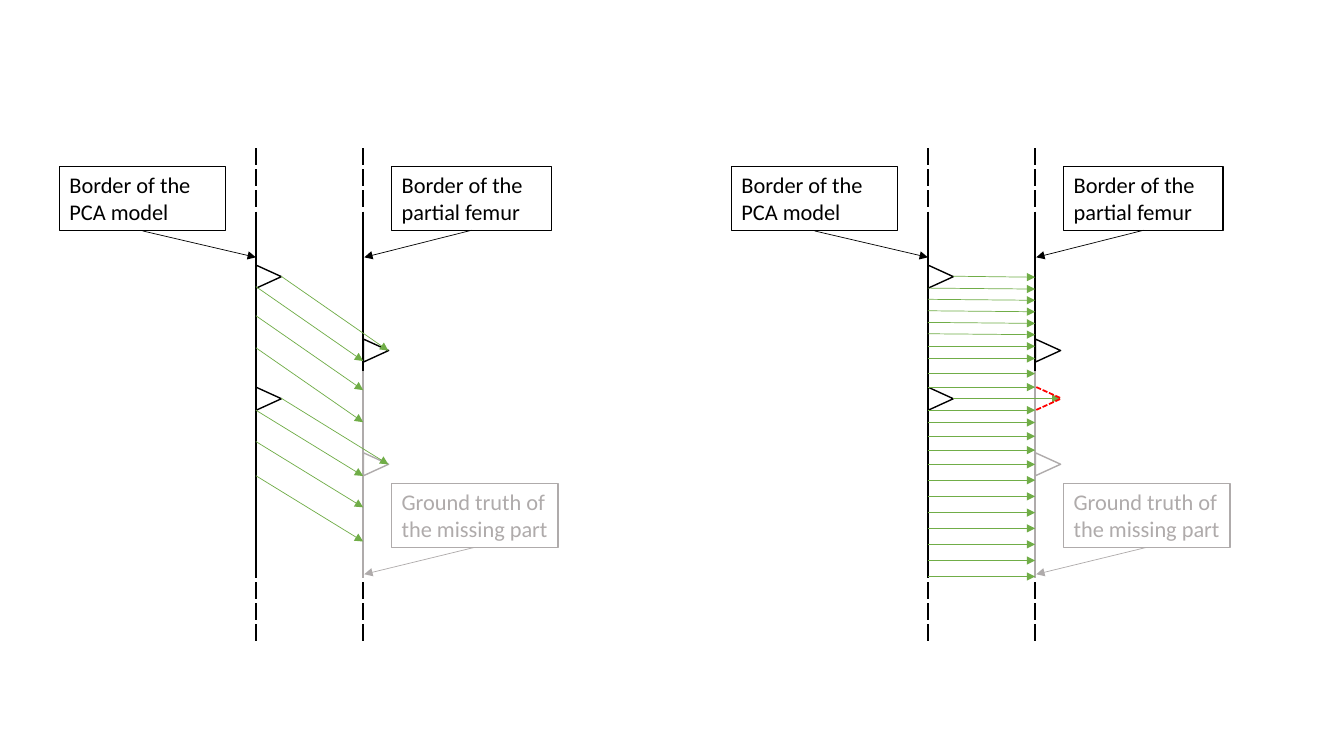
"""Two-panel diagram of correspondences between a PCA model and a partial femur."""
from lxml import etree
from pptx import Presentation
from pptx.dml.color import RGBColor
from pptx.enum import dml, shapes, text
from pptx.oxml import ns
from pptx.util import Pt

COLORS = {"black": "000000", "gray": "AFABAB", "green": "70AD47", "red": "FF0000"}


def add_line(group, start, end, color="black", width=1.25, arrow=False):
    line = group.shapes.add_connector(
        shapes.MSO_CONNECTOR.STRAIGHT, *[Pt(value) for value in (*start, *end)])
    line.line.color.rgb = RGBColor.from_string(COLORS[color])
    line.line.width = Pt(width)
    properties = line._element.spPr
    if arrow:
        etree.SubElement(line.line._get_or_add_ln(), ns.qn("a:tailEnd"), type="triangle")
    etree.SubElement(properties, ns.qn("a:effectLst"))
    return line


def add_outline(group, kind, frame, color, width):
    shape = group.shapes.add_shape(kind, *[Pt(value) for value in frame])
    shape.shadow.inherit = False
    shape.fill.background()
    shape.line.color.rgb = RGBColor.from_string(COLORS[color])
    shape.line.width = Pt(width)
    return shape


deck = Presentation()
deck.slide_width, deck.slide_height = Pt(960), Pt(540)
page = deck.slides.add_slide(deck.slide_layouts[6])

MODEL_X, FEMUR_X, PEAK = 182.8, 259.4, 18
PANEL_STEP = 480
TOP, BREAK, BOTTOM = 151.2, 265, 412.6
DASH_TOPS = [start + 15 * step for start in (106, 416) for step in range(3)]
LABELS = [
    ("Border of the PCA model", (42.5, 119, 118.8, 46), (102, 165), (MODEL_X, 183.8), "black"),
    ("Border of the partial femur", (279.8, 118.6, 113.8, 46), (336.8, 164.5), (260.2, 183.8), "black"),
    ("Ground truth of the missing part", (279.8, 345.2, 118.8, 46), (339, 391), (260.2, 410.2), "gray"),
]
NOTCHES = [(MODEL_X, 197.6, "black"), (FEMUR_X, 250.4, "black"),
           (MODEL_X, 284.8, "black"), (FEMUR_X, 331.6, "gray")]
SHIFTS = [(PEAK, 197.3, 53.2), (PEAK, 284.4, 47.3), (0, 204.7, 53.2), (0, 225.5, 53.2),
          (0, 248.4, 53.2), (0, 293, 47), (0, 315.4, 47), (0, 339.8, 47)]
SLOPED_LEVELS = [205.8, 213.8, 222, 230.3, 238.4]
FLAT_LEVELS = [247.3, 256.1, 266.9, 276.5, 293, 301.8, 311.6, 321.5, 331.7,
               343, 354.6, 366.2, 377.4, 388.8, 400.4, 411.8]

panels = []
for left in (0, PANEL_STEP):
    panel = page.shapes.add_group_shape()
    panels.append(panel)
    for border, end in ((MODEL_X, BOTTOM), (FEMUR_X, BREAK)):
        add_line(panel, (left + border, TOP), (left + border, end))
        for top in DASH_TOPS:
            add_line(panel, (left + border, top), (left + border, top + 12))
    add_line(panel, (left + FEMUR_X, BREAK), (left + FEMUR_X, BOTTOM), "gray")

    for border, middle, color in NOTCHES:
        notch = add_outline(panel, shapes.MSO_SHAPE.ISOSCELES_TRIANGLE,
                            (left + border + 1, middle - PEAK / 2, 16.4, PEAK), color, 1)
        notch.rotation = 90

    for wording, (x, y, width, height), start, end, color in LABELS:
        box = add_outline(panel, shapes.MSO_SHAPE.RECTANGLE,
                          (left + x, y, width, height), color, 0.75)
        frame = box.text_frame
        frame.text = wording
        frame.word_wrap = True
        frame.auto_size = text.MSO_AUTO_SIZE.SHAPE_TO_FIT_TEXT
        frame.vertical_anchor = text.MSO_ANCHOR.TOP
        para = frame.paragraphs[0]
        para.alignment = text.PP_ALIGN.LEFT
        span = para.runs[0]
        span.font.name, span.font.size = "Calibri", Pt(16)
        span.font.color.rgb = RGBColor.from_string(COLORS[color])
        add_line(panel, (left + start[0], start[1]), (left + end[0], end[1]), color, 0.5, True)

for offset, y, drop in SHIFTS:
    add_line(panels[0], (MODEL_X + offset, y), (FEMUR_X + offset, y + drop), "green", 0.5, True)

model, femur = MODEL_X + PANEL_STEP, FEMUR_X + PANEL_STEP
matches = [(model + PEAK, femur, 197.3, 0.7), (model + PEAK, femur + PEAK, 284.6, 0)]
matches += [(model, femur, y, 0.7) for y in SLOPED_LEVELS]
matches += [(model, femur, y, 0) for y in FLAT_LEVELS]
for start, end, y, drop in matches:
    add_line(panels[1], (start, y), (end, y + drop), "green", 0.5, True)

false_notch = page.shapes.add_group_shape()
for y in (276.5, 292.8):
    edge = add_line(false_notch, (femur + 0.8, y), (femur + 0.8 + PEAK, 284.6), "red")
    edge.line.dash_style = dml.MSO_LINE.SQUARE_DOT

deck.save("out.pptx")
